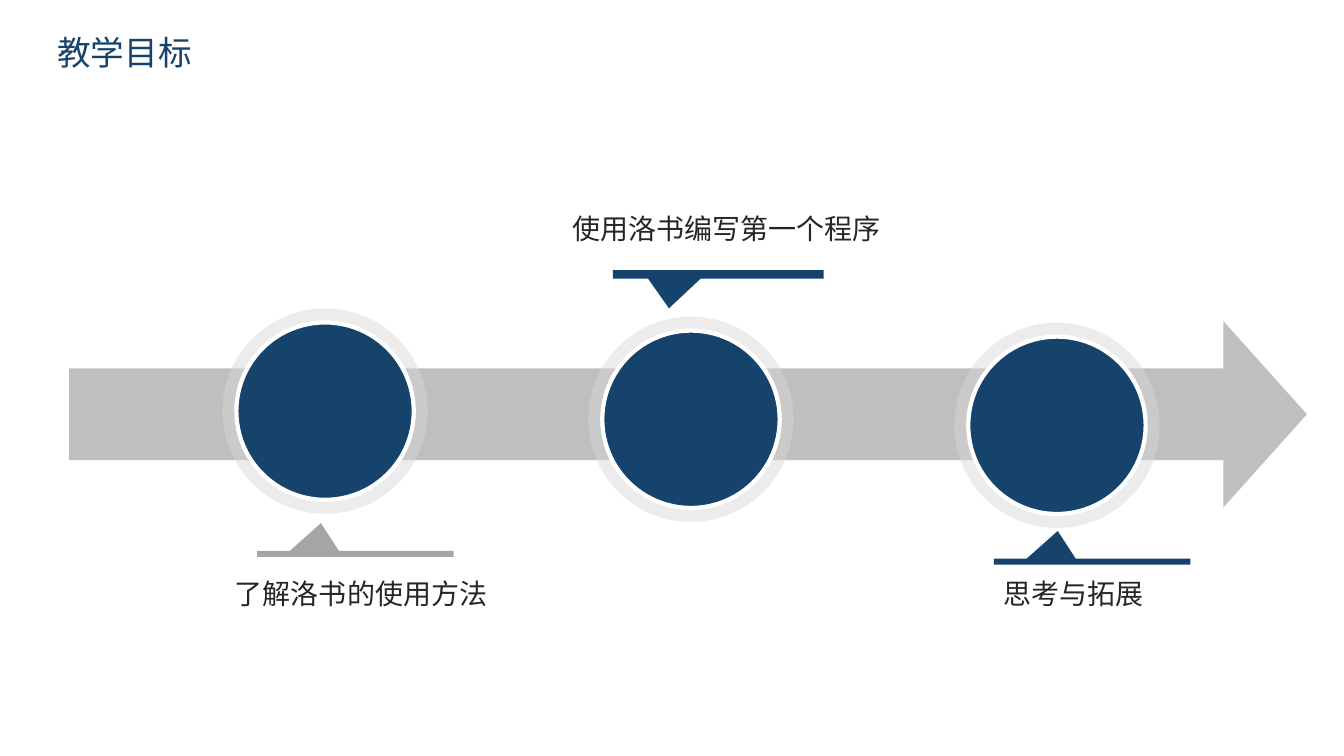
from lxml.etree import SubElement
from pptx import Presentation
from pptx.dml.color import RGBColor
from pptx.enum.shapes import MSO_SHAPE
from pptx.enum.text import MSO_AUTO_SIZE, PP_ALIGN
from pptx.oxml.ns import qn
from pptx.util import Pt

# Content: lengths in points
TITLE = ("教学目标", (33.84, 19.44, 113, 36))
ARROW = dict(box=(49.3, 229.3, 884.2, 133.2), adj=(0.491, 0.448))
UP_TIP, DOWN_TIP = (-0.175, -5.095), (-0.234, 4.033)
STEPS = [
    dict(text="了解洛书的使用方法", label=(159.1, 402.5, 200.9, 35.3), center_y=293.7,
         callout=(183.6, 393.5, 140.4, 4.3), tip=UP_TIP, color="gray"),
    dict(text="使用洛书编写第一个程序", label=(400.3, 141.8, 245.5, 35.3), center_y=299.5,
         callout=(437.8, 193, 150.5, 6), tip=DOWN_TIP, color="navy"),
    dict(text="思考与拓展", label=(707.8, 402.5, 140.4, 35.3), center_y=303.8,
         callout=(709.9, 399.1, 140.4, 4.3), tip=UP_TIP, color="navy"),
]
FIRST_X, STEP_X = 232.2, 261.4
HALO, CORE = 146.6, 126.7

THEME = dict(
    font="Noto Sans CJK SC", title_size=24, label_size=20, ring=3, halo_alpha=48,
    navy="15436B", gray="A5A5A5", arrow="BFBFBF", halo="D8D8D8",
    white="FFFFFF", ink="262626",
)


def rgb(name):
    return RGBColor.from_string(THEME[name])


def add_shape(shapes, kind, box, color, adj=()):
    sp = shapes.add_shape(kind, *map(Pt, box))
    sp.shadow.inherit = False
    sp.fill.solid()
    sp.fill.fore_color.rgb = rgb(color)
    sp.line.fill.background()
    for i, value in enumerate(adj):
        sp.adjustments[i] = value
    return sp


def add_text(s, text, box, size, color, inset, wrap, spacing):
    tf = s.shapes.add_textbox(*map(Pt, box)).text_frame
    dx, dy = map(Pt, inset)
    frame = dict(word_wrap=wrap, auto_size=MSO_AUTO_SIZE.SHAPE_TO_FIT_TEXT,
                 margin_left=dx, margin_right=dx, margin_top=dy, margin_bottom=dy)
    for name, value in frame.items():
        setattr(tf, name, value)
    p = tf.paragraphs[0]
    p.alignment, p.line_spacing = PP_ALIGN.LEFT, spacing
    r = p.add_run()
    r.text = text
    for name, value in dict(name=THEME["font"], size=Pt(THEME[size])).items():
        setattr(r.font, name, value)
    r.font.color.rgb = rgb(color)
    SubElement(r.font._element, qn("a:ea"), typeface=THEME["font"])


def square(cx, cy, side):
    return cx - side / 2, cy - side / 2, side, side


def add_circle(s, cx, cy):
    shapes = s.shapes.add_group_shape().shapes
    halo = add_shape(shapes, MSO_SHAPE.OVAL, square(cx, cy, HALO), "halo")
    color = halo._element.spPr.find(qn("a:solidFill"))[0]
    SubElement(color, qn("a:alpha"), val=str(THEME["halo_alpha"] * 1000))
    core = add_shape(shapes, MSO_SHAPE.OVAL, square(cx, cy, CORE), "navy")
    core.line.color.rgb = rgb("white")
    core.line.width = Pt(THEME["ring"])


def main():
    prs = Presentation()
    prs.slide_width, prs.slide_height = Pt(960), Pt(540)
    s = prs.slides.add_slide(prs.slide_layouts[6])

    # Timeline arrow and its circles
    add_shape(s.shapes, MSO_SHAPE.RIGHT_ARROW, ARROW["box"], "arrow", ARROW["adj"])
    for i, step in enumerate(STEPS):
        add_circle(s, FIRST_X + i * STEP_X, step["center_y"])

    # Callout bars and labels
    for step in STEPS:
        add_shape(s.shapes, MSO_SHAPE.RECTANGULAR_CALLOUT, step["callout"],
                  step["color"], step["tip"])
        add_text(s, step["text"], step["label"], "label_size", "ink",
                 (8.64, 4.32), True, 1.2)

    # Title
    add_text(s, *TITLE, "title_size", "navy", (7.2, 3.6), False, 1.0)

    prs.save("out.pptx")


if __name__ == "__main__":
    main()
